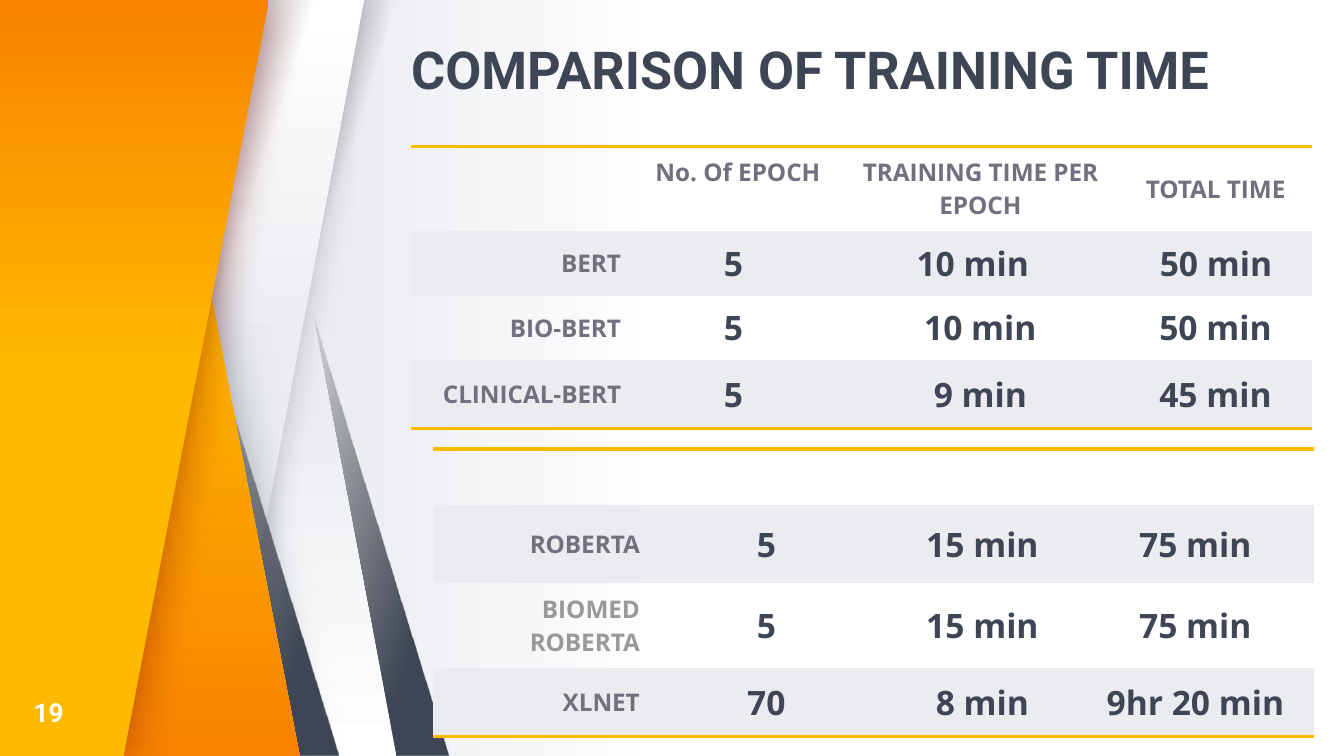
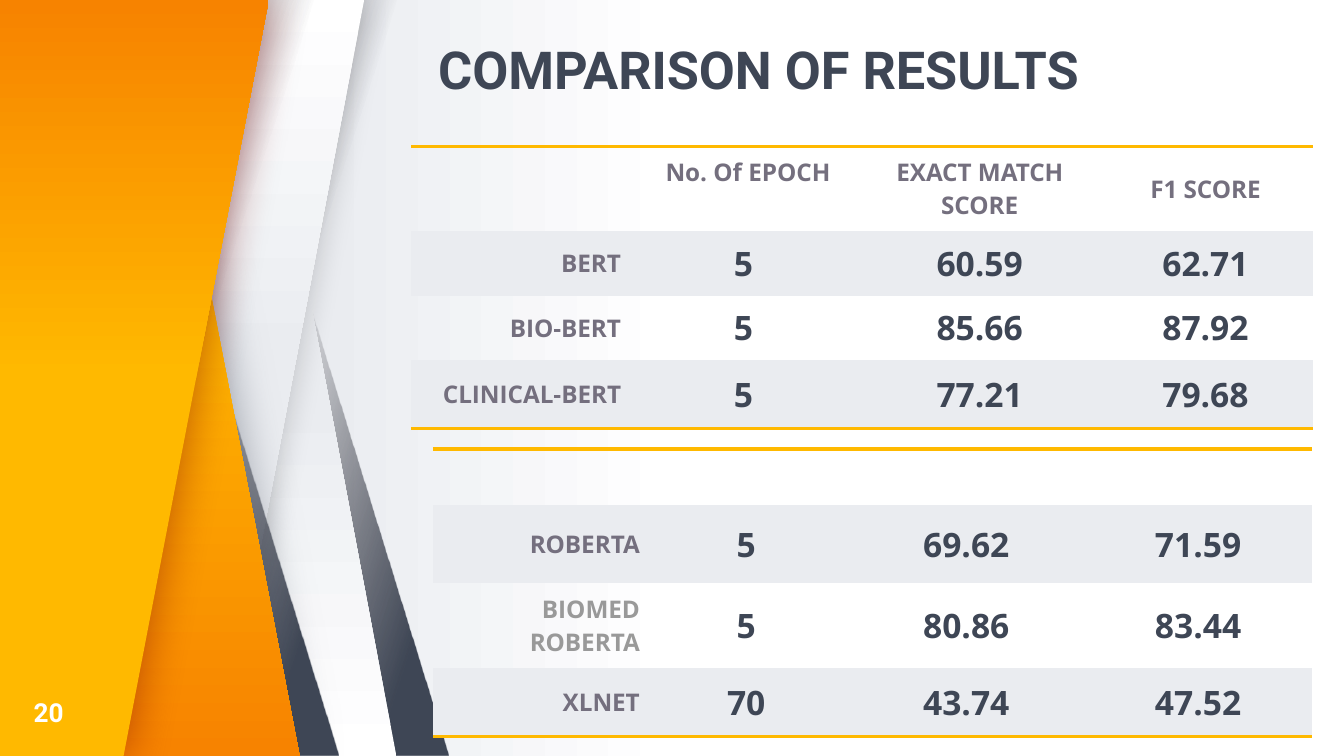
from dataclasses import dataclass
from typing import Optional, Union

from lxml import etree
from pptx import Presentation
from pptx import util as u
from pptx.dml.color import RGBColor
from pptx.enum import shapes, text
from pptx.oxml import ns

# Shared measures and colours
EMU_PER_PX = 4572  # 200 px to the inch
SLIDE_WIDTH, SLIDE_HEIGHT = 2000, 1125
PANEL_WIDTH = 460
MARGIN_X, MARGIN_Y = 20, 14
SLATE, CHARCOAL, LABEL_GREY, MUTED = "3E4655", "27252C", "746F7E", "999999"
YELLOW, ORANGE, PALE, WHITE = "FFB900", "F78300", "EAECF0", "FFFFFF"
TITLE_FONT, BODY_FONT = "Roboto", "Open Sans"
PLAIN_TABLE_STYLE = "{2D5ABB26-0587-4C30-8999-92F81FD0307C}"
LEFT, CENTER, RIGHT = text.PP_ALIGN.LEFT, text.PP_ALIGN.CENTER, text.PP_ALIGN.RIGHT
TOP, MIDDLE = text.MSO_ANCHOR.TOP, text.MSO_ANCHOR.MIDDLE


@dataclass(frozen=True)
class Stop:
    percent: int
    color: str
    opaque: bool = True


@dataclass(frozen=True)
class Gradient:
    stops: tuple[Stop, ...]
    angle: int  # clockwise degrees


@dataclass(frozen=True)
class Shadow:
    color: str
    opacity: int
    blur: float


@dataclass(frozen=True)
class Panel:
    """A slanted strip: a parallelogram, or an outline when points are given."""
    fill: Gradient
    left: int = 0
    slant: float = 0
    flipped: bool = False
    points: tuple[tuple[int, int], ...] = ()
    shadow: Optional[Shadow] = None


@dataclass(frozen=True)
class Cell:
    text: str
    color: Optional[str] = None
    indent: Optional[int] = None
    anchor: text.MSO_ANCHOR = MIDDLE


Row = tuple[Union[str, Cell], ...]


@dataclass(frozen=True)
class Grid:
    left: int
    top: int
    columns: tuple[int, ...]
    heights: tuple[int, ...]
    rows: tuple[Row, ...]


@dataclass(frozen=True)
class Page:
    number: int
    title: str
    title_left: int
    title_width: int
    header: Row
    upper_columns: tuple[int, ...]
    lower_columns: tuple[int, ...]
    upper_values: tuple[Row, ...]
    lower_values: tuple[Row, ...]


# Background panels, from back to front
def fade(middle: int, angle: int) -> Gradient:
    return Gradient((Stop(0, SLATE), Stop(13, SLATE), Stop(middle, CHARCOAL, False),
                     Stop(100, CHARCOAL, False)), angle)


def blend(start: str, middle: int, held: str, end: str, angle: int) -> Gradient:
    return Gradient((Stop(0, start), Stop(middle, held), Stop(100, end)), angle)


STEEP, GENTLE = 0.753, 0.463
RISING_FADE, FALLING_FADE = fade(55, 342), fade(56, 18)
BACKDROP = Gradient((Stop(0, WHITE), Stop(50, WHITE), Stop(76, PALE), Stop(100, PALE)), 180)
PANELS = (
    Panel(RISING_FADE, 208, STEEP, True),
    Panel(blend(WHITE, 47, PALE, PALE, 270), 130, GENTLE, True),
    Panel(FALLING_FADE, 130, STEEP),
    Panel(blend(WHITE, 47, PALE, PALE, 90), 82, GENTLE, shadow=Shadow("000000", 20, 16.9)),
    Panel(RISING_FADE, 44, STEEP, True),
    Panel(blend(YELLOW, 37, YELLOW, ORANGE, 90), shadow=Shadow(SLATE, 50, 24.8),
          points=((0, 0), (0, SLIDE_HEIGHT), (446, SLIDE_HEIGHT), (230, 0))),
    Panel(FALLING_FADE, 6, STEEP),
    Panel(blend(YELLOW, 50, YELLOW, ORANGE, 270), shadow=Shadow("7E0808", 50, 24.8),
          points=((0, SLIDE_HEIGHT), (0, 0), (400, 0), (184, SLIDE_HEIGHT))),
)

# Page content
UPPER_MODELS = ("BERT", "BIO-BERT", "CLINICAL-BERT")
LOWER_MODELS = ("ROBERTA", Cell("BIOMED\nROBERTA", MUTED), "XLNET")
UPPER_EPOCHS, LOWER_EPOCHS = ("5 ", "5 ", "5 "), ("5 ", "5 ", "70 ")
UPPER_HEIGHTS, LOWER_HEIGHTS = (84, 94, 94, 102), (84, 116, 94, 102)
EPOCH_HEADER = Cell("No. Of EPOCH", anchor=TOP)

PAGES = (
    Page(19, "COMPARISON OF TRAINING TIME", 612, 1340,
         ("", EPOCH_HEADER, "TRAINING TIME PER EPOCH", "TOTAL TIME"),
         (332, 308, 414, 286), (328, 350, 280, 354),
         ((Cell("10 min", indent=92), Cell("50 min", indent=40)),
          ("10 min", "50 min"), ("9 min", "45 min")),
         (("15 min", "75 min"), ("15 min", "75 min"), ("8 min", "9hr 20 min"))),
    Page(20, "COMPARISON OF RESULTS", 652, 1196,
         ("", EPOCH_HEADER, "EXACT MATCH SCORE", "F1 SCORE"),
         (332, 338, 352, 320), (328, 290, 352, 338),
         (("60.59", "62.71"), ("85.66", "87.92"), ("77.21", "79.68")),
         (("69.62", "71.59"), ("80.86", "83.44"), ("43.74", "47.52"))),
)


# Helpers
def px(length: int) -> u.Emu:
    return u.Emu(length * EMU_PER_PX)


def rgb(color: str) -> RGBColor:
    return RGBColor.from_string(color)


def add_element(parent, tag: str, **attributes):
    element = etree.SubElement(parent, ns.qn(tag))
    for name, value in attributes.items():
        element.set(name, str(value))
    return element


def add_color(parent, color: str, opacity: int = 100) -> None:
    element = add_element(parent, "a:srgbClr", val=color)
    if opacity < 100:
        add_element(element, "a:alpha", val=opacity * 1000)


def set_gradient(fill, owner, gradient: Gradient) -> None:
    fill.gradient()
    fill.gradient_angle = (360 - gradient.angle) % 360
    stop_list = owner.xpath(".//a:gradFill/a:gsLst")[0]
    for old_stop in list(stop_list):
        stop_list.remove(old_stop)
    for stop in gradient.stops:
        element = add_element(stop_list, "a:gs", pos=stop.percent * 1000)
        add_color(element, stop.color, 100 if stop.opaque else 0)


def style_paragraph(paragraph, font_name: str, size: int, color: str, alignment=LEFT) -> None:
    paragraph.alignment = alignment
    font = paragraph.font
    font.name, font.size, font.bold = font_name, u.Pt(size), True
    font.color.rgb = rgb(color)


def style_frame(frame, anchor) -> None:
    frame.margin_left = frame.margin_right = frame.margin_top = frame.margin_bottom = 0
    frame.word_wrap = True
    frame.auto_size = text.MSO_AUTO_SIZE.NONE
    frame.vertical_anchor = anchor


# Shared backdrop
def draw_panel(slide, panel: Panel):
    if panel.points:
        builder = slide.shapes.build_freeform(*panel.points[0], scale=EMU_PER_PX)
        builder.add_line_segments(panel.points[1:], close=True)
        shape = builder.convert_to_shape()
    else:
        shape = slide.shapes.add_shape(shapes.MSO_SHAPE.PARALLELOGRAM, px(panel.left), 0,
                                       px(PANEL_WIDTH), px(SLIDE_HEIGHT))
        shape.adjustments[0] = panel.slant
        if panel.flipped:
            shape.element.spPr.xfrm.set("flipH", "1")
    shape.line.fill.background()
    set_gradient(shape.fill, shape.element, panel.fill)
    shape.shadow.inherit = False
    if panel.shadow:
        effects = shape.element.xpath(".//a:effectLst")[0]
        shadow = add_element(effects, "a:outerShdw", blurRad=int(u.Pt(panel.shadow.blur)),
                             dist=0, dir=0, algn="ctr", rotWithShape=0)
        add_color(shadow, panel.shadow.color, panel.shadow.opacity)
    return shape


def furnish_layout(layout, slide) -> None:
    """Draw the panels through a slide and move them behind the layout's placeholders."""
    set_gradient(layout.background.fill, layout.element.xpath(".//p:bg")[0], BACKDROP)
    tree = layout.shapes.element
    for offset, panel in enumerate(PANELS):
        tree.insert(2 + offset, draw_panel(slide, panel).element)


# Tables
def add_rule(cell, side: str) -> None:
    line = etree.Element(ns.qn(side), w=str(int(u.Pt(2.25))))
    add_color(add_element(line, "a:solidFill"), YELLOW)
    cell._tc.get_or_add_tcPr().insert(0, line)


def fill_cell(cell, content: Union[str, Cell], row: int, column: int) -> None:
    content = Cell(content) if isinstance(content, str) else content
    is_value = row > 0 and column > 0
    alignment = RIGHT if column == 0 else CENTER
    color = content.color or (SLATE if is_value else LABEL_GREY)
    cell.text = content.text
    cell.vertical_anchor = content.anchor
    cell.margin_left = cell.margin_right = px(MARGIN_X)
    cell.margin_top = cell.margin_bottom = px(MARGIN_Y)
    for paragraph in cell.text_frame.paragraphs:
        if content.indent is not None:
            alignment = LEFT
            paragraph._p.get_or_add_pPr().set("marL", str(px(content.indent)))
        style_paragraph(paragraph, BODY_FONT, 18 if is_value else 13, color, alignment)
    if row % 2:
        cell.fill.solid()
        cell.fill.fore_color.rgb = rgb(PALE)
    else:
        cell.fill.background()


def draw_grid(slide, grid: Grid) -> None:
    frame = slide.shapes.add_table(len(grid.rows), len(grid.columns), px(grid.left), px(grid.top),
                                   px(sum(grid.columns)), px(sum(grid.heights)))
    table = frame.table
    table.first_row = table.horz_banding = False
    frame.element.xpath(".//a:tableStyleId")[0].text = PLAIN_TABLE_STYLE
    for column, width in zip(table.columns, grid.columns):
        column.width = px(width)
    for row, height in zip(table.rows, grid.heights):
        row.height = px(height)
    for row_index, row in enumerate(grid.rows):
        for column_index, content in enumerate(row):
            fill_cell(table.cell(row_index, column_index), content, row_index, column_index)
    for column_index in range(len(grid.columns)):
        add_rule(table.cell(0, column_index), "a:lnT")
        add_rule(table.cell(len(grid.rows) - 1, column_index), "a:lnB")


def join_rows(header: Row, models: Row, epochs: Row, values: tuple[Row, ...]) -> tuple[Row, ...]:
    return (header, *((model, epoch, *row) for model, epoch, row in zip(models, epochs, values)))


# Slides
def draw_page(slide, page: Page) -> None:
    title = slide.shapes.title
    title.left, title.top = px(page.title_left), px(64)
    title.width, title.height = px(page.title_width), px(86)
    title.text_frame.text = page.title
    style_frame(title.text_frame, text.MSO_ANCHOR.BOTTOM)
    paragraph = title.text_frame.paragraphs[0]
    paragraph.line_spacing = 0.9
    style_paragraph(paragraph, TITLE_FONT, 28, SLATE)

    draw_grid(slide, Grid(612, 218, page.upper_columns, UPPER_HEIGHTS,
                          join_rows(page.header, UPPER_MODELS, UPPER_EPOCHS, page.upper_values)))

    number = slide.shapes.add_textbox(px(50), px(1032), px(80), px(54))
    number.text_frame.text = str(page.number)
    style_frame(number.text_frame, MIDDLE)
    style_paragraph(number.text_frame.paragraphs[0], TITLE_FONT, 14, WHITE)

    draw_grid(slide, Grid(644, 668, page.lower_columns, LOWER_HEIGHTS,
                          join_rows(("",) * 4, LOWER_MODELS, LOWER_EPOCHS, page.lower_values)))


def main() -> None:
    presentation = Presentation()
    presentation.slide_width, presentation.slide_height = px(SLIDE_WIDTH), px(SLIDE_HEIGHT)
    layout = presentation.slide_layouts[5]
    slides = [presentation.slides.add_slide(layout) for _ in PAGES]
    furnish_layout(layout, slides[0])
    for slide, page in zip(slides, PAGES):
        draw_page(slide, page)
    presentation.save("out.pptx")


if __name__ == "__main__":
    main()
